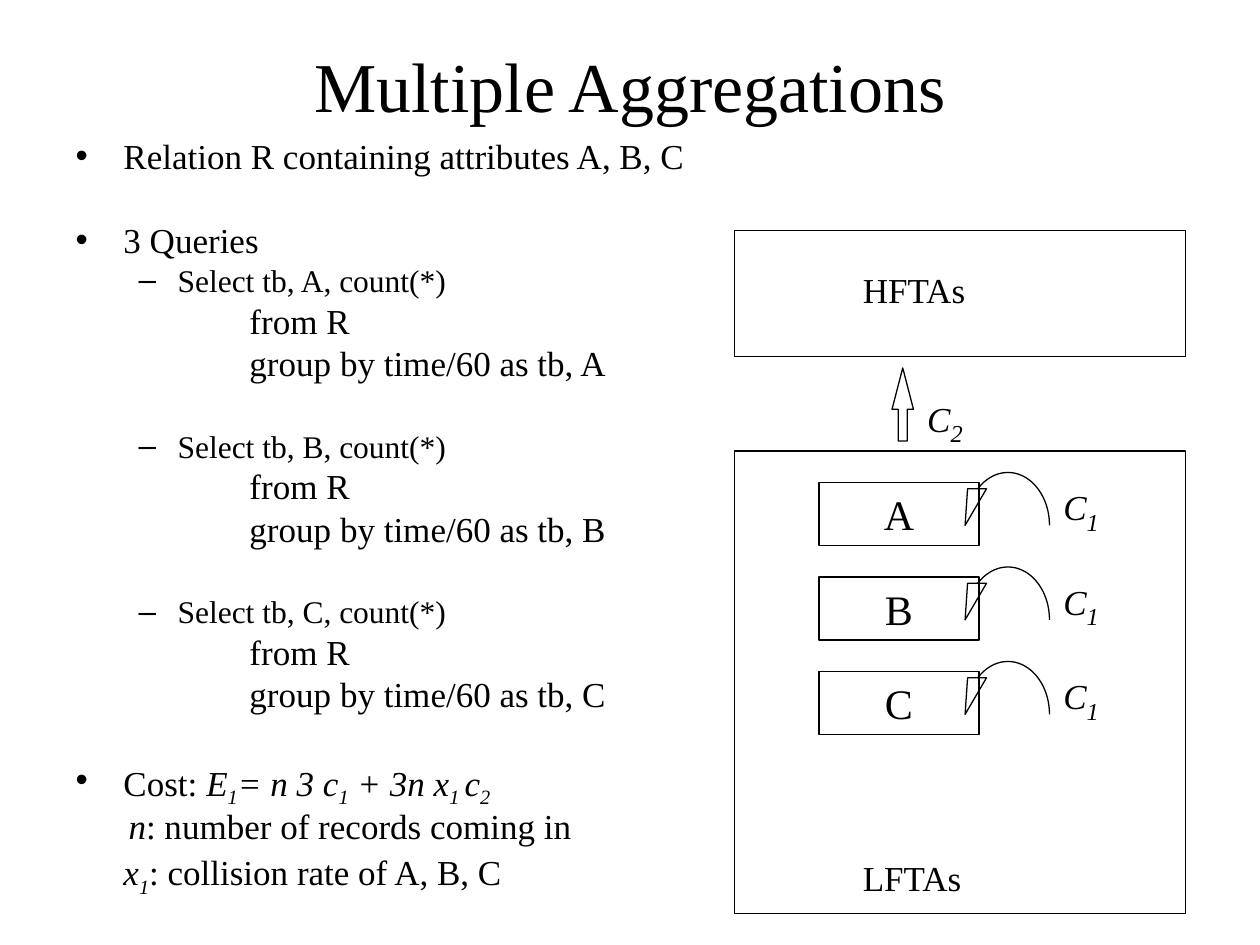
"""Build the Multiple Aggregations slide."""
from dataclasses import dataclass
from math import cos, radians, sin

from lxml import etree
from pptx import Presentation
from pptx.dml.color import RGBColor
from pptx.enum.shapes import MSO_SHAPE
from pptx.enum.text import MSO_ANCHOR, MSO_AUTO_SIZE, PP_ALIGN
from pptx.oxml.ns import qn
from pptx.util import Inches, Pt

RECT, ARROW = MSO_SHAPE.RECTANGLE, MSO_SHAPE.UP_ARROW
TOP, MIDDLE = MSO_ANCHOR.TOP, MSO_ANCHOR.MIDDLE
LEFT, CENTER = PP_ALIGN.LEFT, PP_ALIGN.CENTER
FIXED = MSO_AUTO_SIZE.NONE


@dataclass
class Theme:
    face: str = "Times New Roman"
    ink: RGBColor = RGBColor(0, 0, 0)
    title: int = 40
    body: int = 20
    query: int = 18
    node: int = 24
    line: float = 0.75


theme = Theme()


def write(para, parts, size, align=LEFT, sub=None):
    para.alignment = align
    para.font.name = theme.face
    para.font.size = Pt(size)
    para.font.color.rgb = theme.ink
    para.font.italic = all(style for _, style in parts)
    for text, style in parts:
        run = para.add_run()
        run.text = text
        if style and not para.font.italic:
            run.font.italic = True
        if style == "sub":
            run._r.get_or_add_rPr().set("baseline", "-25000")
            if sub:
                run.font.size = Pt(sub)


def outline(shape):
    shape.shadow.inherit = False
    shape.fill.background()
    shape.line.color.rgb = theme.ink
    shape.line.width = Pt(theme.line)


deck = Presentation()
deck.slide_width, deck.slide_height = Inches(10), Inches(7.5)
slide = deck.slides.add_slide(deck.slide_layouts[1])
shapes = slide.shapes

title = shapes.title
title.left, title.top = Inches(0.75), Inches(0.17)
title.width, title.height = Inches(8.5), Inches(1)
title.text_frame.vertical_anchor = MIDDLE
title.text_frame.auto_size = FIXED
write(title.text_frame.paragraphs[0], [("Multiple Aggregations", "")], theme.title, CENTER)

body = slide.placeholders[1]
body.left, body.top = Inches(0.5), Inches(1.08)
body.width, body.height = Inches(5.08), Inches(6.25)
frame = body.text_frame
frame.auto_size = FIXED
frame.vertical_anchor = TOP

rows = [
    ("•", 0, [("Relation R containing attributes A, B, C", "")]),
    ("•", 29, [("3 Queries", "")]),
]
for name in "ABC":
    rows += [
        ("–", 4.5 if name == "A" else 29, [(f"Select tb, {name}, count(*)", "")]),
        ("clause", 5, [("from R", "")]),
        ("clause", 5, [(f"group by time/60 as tb, {name}", "")]),
    ]
rows += [
    ("•", 29, [("Cost: ", ""), ("E", "it"), ("1", "sub"), ("= n 3 c", "it"), ("1", "sub"),
               (" + 3n x", "it"), ("1 ", "sub"), ("c", "it"), ("2", "sub")]),
    ("count", 5, [("n", "it"), (": number of records coming in", "")]),
    ("rate", 5, [("x", "it"), ("1", "sub"), (": collision rate of A, B, C", "")]),
]
levels = {
    "•": (0.38, -0.38, theme.body),
    "–": (0.81, -0.31, theme.query),
    "clause": (1.38, 0, theme.body),
    "count": (0.42, 0, theme.body),
    "rate": (0.38, 0, theme.body),
}
for index, (kind, gap, parts) in enumerate(rows):
    para = frame.add_paragraph() if index else frame.paragraphs[0]
    margin, indent, size = levels[kind]
    para.level = 1 if kind == "–" else 0
    para.line_spacing = 0.8
    para.space_before = Pt(gap)
    props = para._p.get_or_add_pPr()
    props.set("marL", str(Inches(margin)))
    props.set("indent", str(Inches(indent)))
    if kind in "•–":
        etree.SubElement(props, qn("a:buChar")).set("char", kind)
    else:
        etree.SubElement(props, qn("a:buNone"))
    write(para, parts, size)

for name, top, height, base in (("LFTAs", 3.58, 3.67, 6.75), ("HFTAs", 1.83, 1, 2.08)):
    outline(shapes.add_shape(RECT, Inches(5.83), Inches(top), Inches(3.58), Inches(height)))
    box = shapes.add_textbox(Inches(6.75), Inches(base), Inches(1.67), Inches(0.44))
    box.text_frame.word_wrap = True
    write(box.text_frame.paragraphs[0], [(name, "")], theme.body)

arrow = shapes.add_shape(ARROW, Inches(7.08), Inches(2.92), Inches(0.17), Inches(0.58))
arrow.adjustments[0], arrow.adjustments[1] = 0.42, 1.93
outline(arrow)

costs = [(shapes, "2", 7.26, 3.05)]
for row, name in enumerate("ABC"):
    top = 3.75 + 0.75 * row
    group = shapes.add_group_shape().shapes
    arc = [(8 + 0.33 * cos(radians(turn)), top + 0.42 - 0.42 * sin(radians(turn)))
           for turn in range(0, 137, 4)]
    head = [(7.68, top + 0.13), (7.66, top + 0.42), (7.83, top + 0.13), (7.76, top + 0.13)]
    points = [(Inches(x), Inches(y)) for x, y in arc + head]
    pen = group.build_freeform(*points[0])
    pen.add_line_segments(points[1:], close=False)
    outline(pen.convert_to_shape())
    node = group.add_shape(RECT, Inches(6.5), Inches(top + 0.08), Inches(1.27), Inches(0.5))
    outline(node)
    node.text_frame.vertical_anchor = MIDDLE
    write(node.text_frame.paragraphs[0], [(name, "")], theme.node, CENTER)
    costs.append((group, "1", 8.34, top))

for home, digit, left, top in costs:
    box = home.add_textbox(Inches(left), Inches(top), Inches(0.48), Inches(0.56))
    box.text_frame.word_wrap = False
    write(box.text_frame.paragraphs[0], [("C", "it"), (digit, "sub")], theme.body, sub=theme.node)

deck.save("out.pptx")
